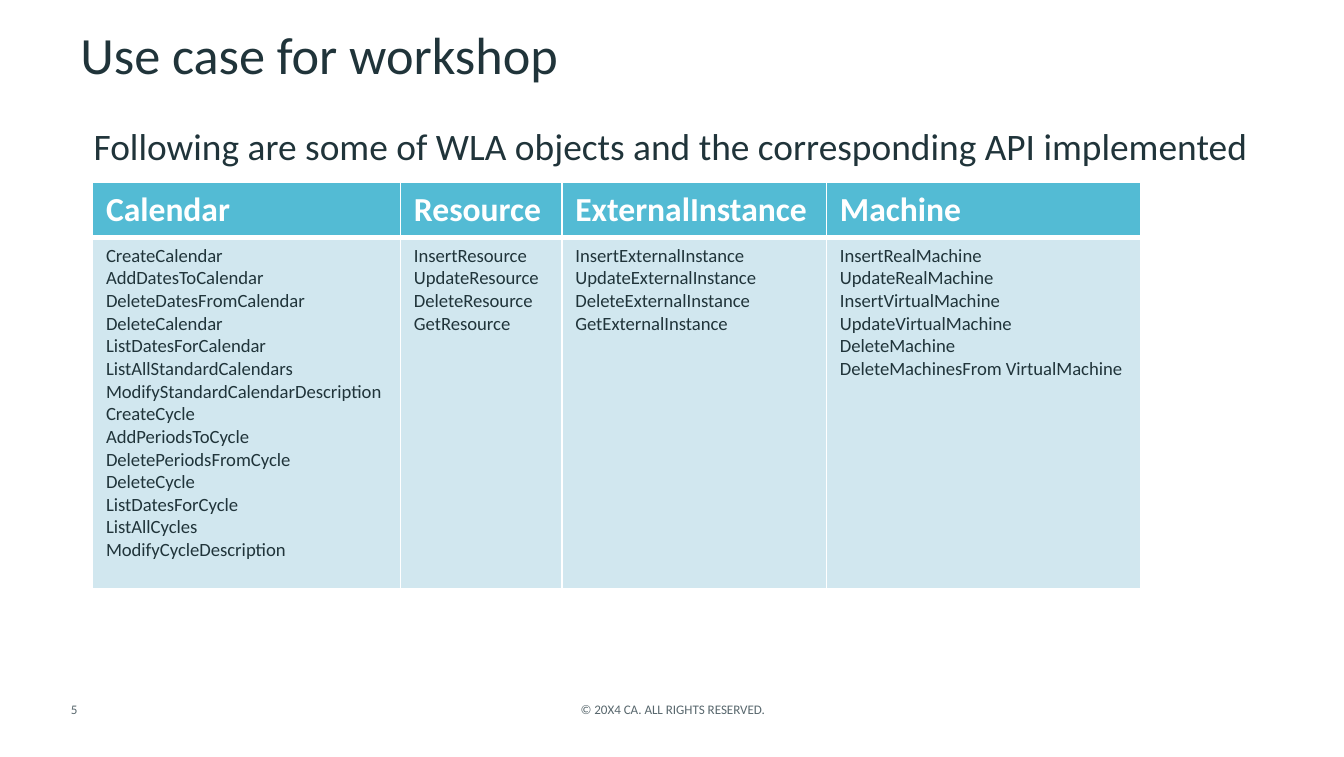
from lxml.etree import SubElement
from pptx import Presentation
from pptx.dml.color import RGBColor
from pptx.enum.text import PP_ALIGN
from pptx.oxml.ns import qn
from pptx.util import Cm, Pt

INK = RGBColor(0x20, 0x34, 0x3A)
GREY = RGBColor(0x58, 0x67, 0x6D)
WHITE = RGBColor(0xFF, 0xFF, 0xFF)
HEADER_BLUE = RGBColor(0x53, 0xBB, 0xD4)
PALE_BLUE = RGBColor(0xD1, 0xE7, 0xEF)

API_CALLS = {
    "Calendar": [
        "CreateCalendar", "AddDatesToCalendar", "DeleteDatesFromCalendar",
        "DeleteCalendar", "ListDatesForCalendar", "ListAllStandardCalendars",
        "ModifyStandardCalendarDescription", "CreateCycle", "AddPeriodsToCycle",
        "DeletePeriodsFromCycle", "DeleteCycle", "ListDatesForCycle",
        "ListAllCycles", "ModifyCycleDescription",
    ],
    "Resource": ["InsertResource", "UpdateResource", "DeleteResource", "GetResource"],
    "ExternalInstance": [
        "InsertExternalInstance", "UpdateExternalInstance",
        "DeleteExternalInstance", "GetExternalInstance",
    ],
    "Machine": [
        "InsertRealMachine", "UpdateRealMachine", "InsertVirtualMachine",
        "UpdateVirtualMachine", "DeleteMachine", "DeleteMachinesFrom VirtualMachine",
    ],
}
COLUMN_WIDTHS = [5.82, 3.05, 5, 5.94]
ROW_HEIGHTS = [1.04, 6.63]


def write_text(text_frame, text, size, color=INK, bold=False, align=PP_ALIGN.LEFT,
               line_spacing=None):
    """Fill the frame with one paragraph for each line of text."""
    text_frame.word_wrap = True
    text_frame.text = text
    for paragraph in text_frame.paragraphs:
        paragraph.alignment = align
        paragraph.line_spacing = line_spacing
        paragraph.font.name = "Calibri"
        paragraph.font.size = Pt(size)
        paragraph.font.bold = bold
        paragraph.font.color.rgb = color


def format_cell(cell, fill_color, border_widths):
    """Set the fill and the white borders; widths in points, keyed by side."""
    properties = cell._tc.get_or_add_tcPr()
    for side, width in border_widths.items():
        line = SubElement(properties, qn(f"a:ln{side}"), w=str(Pt(width)))
        line_fill = SubElement(line, qn("a:solidFill"))
        SubElement(line_fill, qn("a:srgbClr"), val=str(WHITE))
    cell.fill.solid()
    cell.fill.fore_color.rgb = fill_color


presentation = Presentation()
presentation.slide_width = Cm(25.4)
presentation.slide_height = Cm(14.3)
slide = presentation.slides.add_slide(presentation.slide_layouts[6])

text_boxes = [
    ("5", (1.09, 13.13, 1.47, 0.69), dict(size=7, color=GREY)),
    ("© 20X4 CA. ALL RIGHTS RESERVED.", (3.48, 13.13, 18.47, 0.69),
     dict(size=7, color=GREY, align=PP_ALIGN.CENTER)),
    ("Following are some of WLA objects and the corresponding API implemented",
     (1.52, 2.21, 22.45, 1.1), dict(size=20, align=PP_ALIGN.JUSTIFY)),
    ("Use case for workshop", (1.27, 0.43, 22.86, 2.29),
     dict(size=28, line_spacing=0.9)),
]
for text, place, text_format in text_boxes:
    text_box = slide.shapes.add_textbox(*map(Cm, place))
    write_text(text_box.text_frame, text, **text_format)

table = slide.shapes.add_table(
    len(ROW_HEIGHTS), len(COLUMN_WIDTHS), Cm(1.75), Cm(3.45),
    Cm(sum(COLUMN_WIDTHS)), Cm(sum(ROW_HEIGHTS))).table
for row, height in zip(table.rows, ROW_HEIGHTS):
    row.height = Cm(height)
for column, width in zip(table.columns, COLUMN_WIDTHS):
    column.width = Cm(width)

for index, (object_name, calls) in enumerate(API_CALLS.items()):
    header, body = table.cell(0, index), table.cell(1, index)
    write_text(header.text_frame, object_name, size=18, color=WHITE, bold=True)
    format_cell(header, HEADER_BLUE, {"L": 1, "R": 1, "T": 1, "B": 3})
    write_text(body.text_frame, "\n".join(calls), size=10)
    format_cell(body, PALE_BLUE, {"L": 1, "R": 1, "T": 3, "B": 1})

presentation.save("out.pptx")
